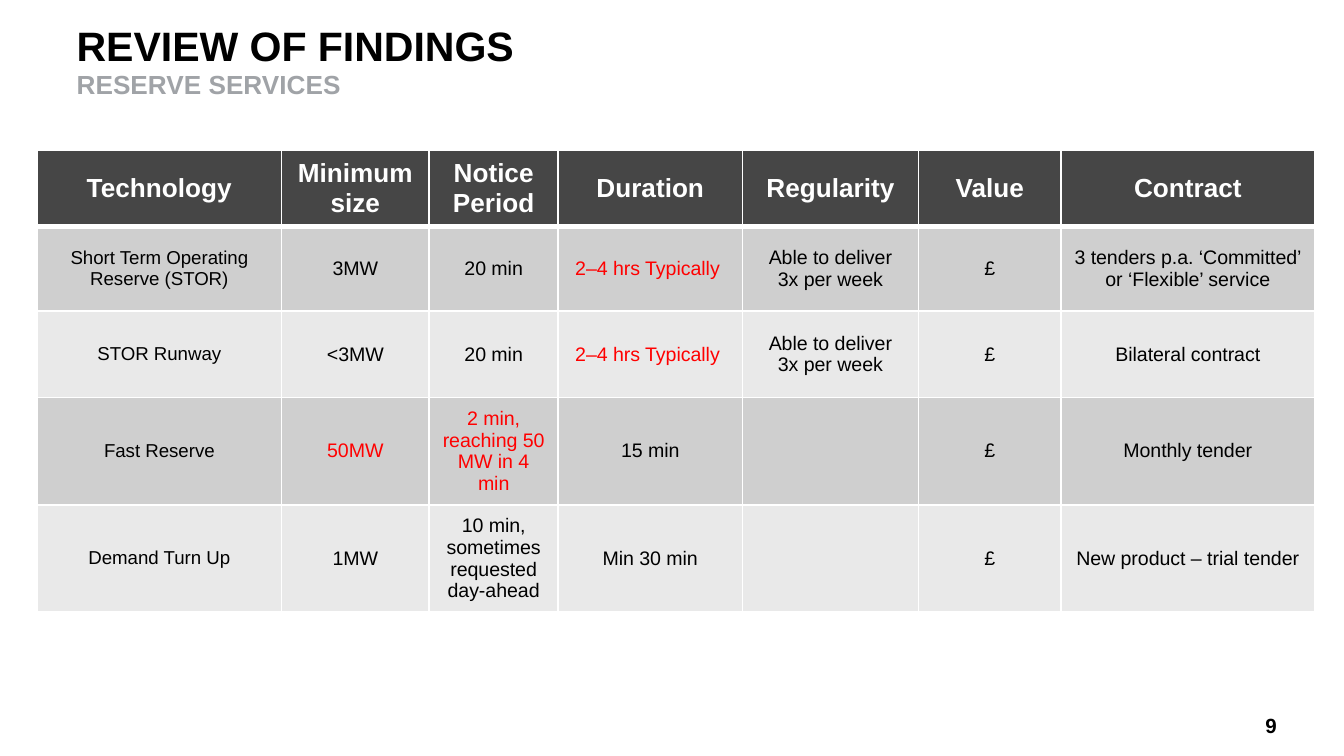
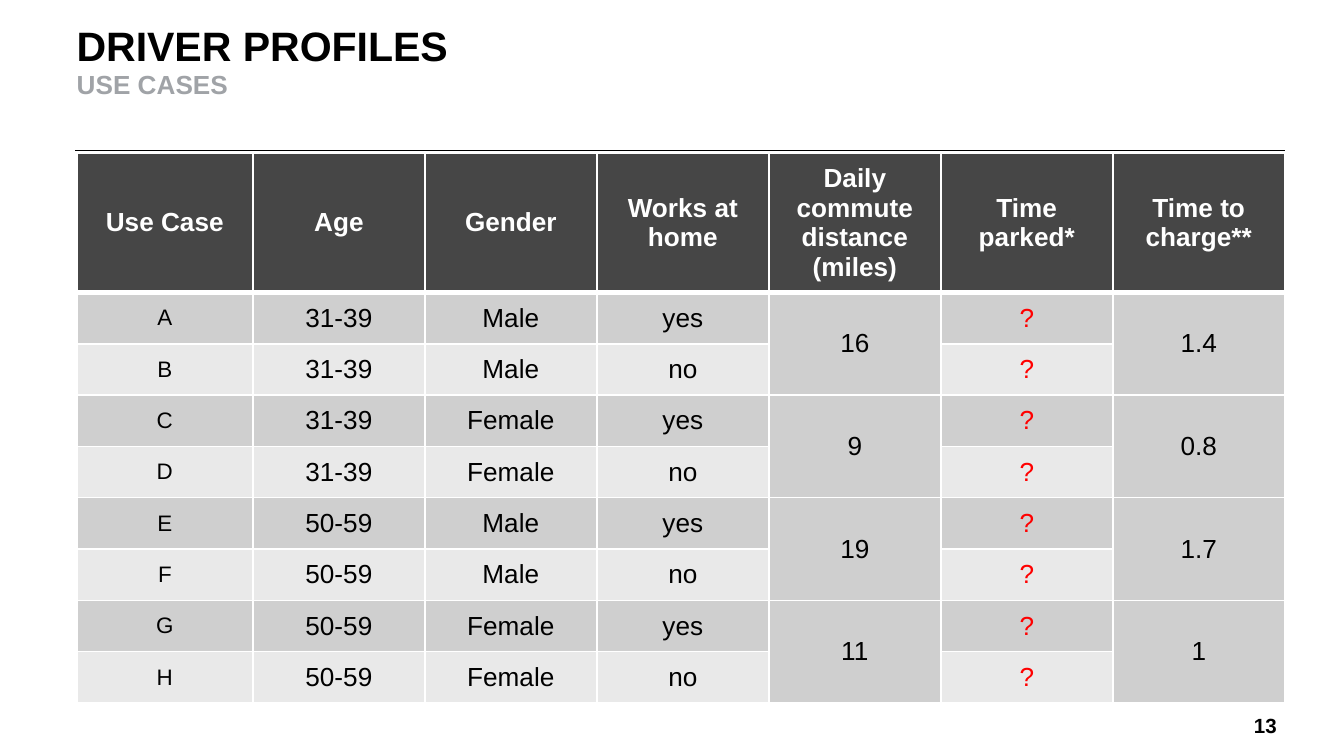
from dataclasses import dataclass

from lxml import etree
from pptx import Presentation
from pptx import util as u
from pptx.dml import color as dml
from pptx.enum import shapes, text
from pptx.oxml import ns

FONT = "Arial"
BLACK = "000000"
WHITE = "FFFFFF"
SUBTITLE_GREY = "A0A3A7"
HEADER_FILL = "464646"
BAND_FILLS = ("CFCFCF", "E9E9E9")
RED = "FF0000"


@dataclass(frozen=True)
class TableSpec:
    left: float
    top: float
    column_widths: list[float]
    row_heights: list[float]
    rows: list[list[str | None]]
    first_column_size: float
    body_size: float
    red_texts: set[str]


@dataclass(frozen=True)
class SlideSpec:
    title: str
    subtitle: str
    number: int
    table: TableSpec


TYPICAL_DURATION = "2–4 hrs Typically "
FAST_NOTICE = "2 min, reaching 50 MW in 4 min"
WEEKLY = "Able to deliver 3x per week"

RESERVE_SERVICES = TableSpec(
    left=0.7,
    top=2.84,
    column_widths=[4.62, 2.79, 2.44, 3.48, 3.33, 2.69, 4.8],
    row_heights=[1.07, 1.6, 1.63, 1.73, 1.55],
    rows=[
        ["Technology", "Minimum size", "Notice Period", "Duration", "Regularity", "Value", "Contract"],
        ["Short Term Operating Reserve (STOR)", "3MW", "20 min", TYPICAL_DURATION, WEEKLY, "£",
         "3 tenders p.a. ‘Committed’ or ‘Flexible’ service"],
        ["STOR Runway", "<3MW", "20 min", TYPICAL_DURATION, WEEKLY, "£", "Bilateral contract"],
        ["Fast Reserve", "50MW", FAST_NOTICE, "15 min", "", "£", "Monthly tender"],
        ["Demand Turn Up", "1MW", "10 min, sometimes requested day-ahead", "Min 30 min", "", "£",
         "New product – trial tender"],
    ],
    first_column_size=10,
    body_size=10.5,
    red_texts={TYPICAL_DURATION, "50MW", FAST_NOTICE},
)

USE_CASES = TableSpec(
    left=1.45,
    top=2.9,
    column_widths=[3.33] + [3.25] * 6,
    row_heights=[2.59] + [0.97] * 8,
    rows=[
        ["Use Case", "Age", "Gender", "Works at home", "Daily commute distance (miles)",
         "Time parked*", "Time to charge**"],
        ["A", "31-39", "Male", "yes", "16", "?", "1.4"],
        ["B", "31-39", "Male", "no", None, "?", None],
        ["C", "31-39", "Female", "yes", "9", "?", "0.8"],
        ["D", "31-39", "Female", "no", None, "?", None],
        ["E", "50-59", "Male", "yes", "19", "?", "1.7"],
        ["F", "50-59", "Male", "no", None, "?", None],
        ["G", "50-59", "Female", "yes", "11", "?", "1"],
        ["H", "50-59", "Female", "no", None, "?", None],
    ],
    first_column_size=12,
    body_size=14,
    red_texts={"?"},
)

SLIDES = [
    SlideSpec("REVIEW OF FINDINGS", "RESERVE SERVICES", 9, RESERVE_SERVICES),
    SlideSpec("DRIVER PROFILES", "USE CASES", 13, USE_CASES),
]


def rgb(value: str) -> dml.RGBColor:
    return dml.RGBColor.from_string(value)


def add_text(paragraph, content: str, *, size: float, color: str = BLACK, bold: bool = False) -> None:
    run = paragraph.add_run()
    run.text = content
    run.font.name = FONT
    run.font.size = u.Pt(size)
    run.font.bold = bold
    run.font.color.rgb = rgb(color)


def add_text_frame(slide, left: float, top: float, width: float, height: float):
    box = slide.shapes.add_textbox(u.Cm(left), u.Cm(top), u.Cm(width), u.Cm(height))
    frame = box.text_frame
    frame.word_wrap = True
    frame.margin_left = frame.margin_right = frame.margin_top = frame.margin_bottom = 0
    return frame


def add_title(slide, title: str, subtitle: str) -> None:
    paragraph = add_text_frame(slide, 1.45, 0.46, 15.7, 2).paragraphs[0]
    paragraph.line_spacing = 0.95
    add_text(paragraph, title, size=22, bold=True)
    paragraph.add_line_break()
    add_text(paragraph, subtitle, size=14, color=SUBTITLE_GREY, bold=True)


def add_page_number(slide, number: int) -> None:
    frame = add_text_frame(slide, 22.73, 13.49, 1.4, 0.43)
    frame.vertical_anchor = text.MSO_ANCHOR.MIDDLE
    paragraph = frame.paragraphs[0]
    paragraph.alignment = text.PP_ALIGN.RIGHT
    add_text(paragraph, str(number), size=11, bold=True)


def add_title_rule(slide) -> None:
    rule = slide.shapes.add_connector(
        shapes.MSO_CONNECTOR.STRAIGHT, u.Cm(24.28), u.Cm(2.84), u.Cm(1.42), u.Cm(2.84))
    rule.line.color.rgb = rgb(BLACK)
    rule.line.width = u.Pt(0.5)
    etree.SubElement(rule._element.spPr, ns.qn("a:effectLst"))


def set_borders(cell, *, top: float, bottom: float) -> None:
    properties = cell._tc.get_or_add_tcPr()
    widths = {"a:lnL": 1, "a:lnR": 1, "a:lnT": top, "a:lnB": bottom}
    for position, (tag, width) in enumerate(widths.items()):
        border = etree.Element(ns.qn(tag), w=str(u.Pt(width)))
        fill = etree.SubElement(border, ns.qn("a:solidFill"))
        etree.SubElement(fill, ns.qn("a:srgbClr"), val=WHITE)
        properties.insert(position, border)


def format_cell(cell, content: str | None, row: int, column: int, spec: TableSpec) -> None:
    is_header = row == 0
    cell.fill.solid()
    cell.fill.fore_color.rgb = rgb(HEADER_FILL if is_header else BAND_FILLS[(row - 1) % 2])
    cell.vertical_anchor = text.MSO_ANCHOR.MIDDLE
    set_borders(cell, top=3 if row == 1 else 1, bottom=3 if is_header else 1)
    if not content:
        return
    paragraph = cell.text_frame.paragraphs[0]
    paragraph.alignment = text.PP_ALIGN.CENTER
    if is_header:
        add_text(paragraph, content, size=14, color=WHITE, bold=True)
    else:
        size = spec.first_column_size if column == 0 else spec.body_size
        add_text(paragraph, content, size=size, color=RED if content in spec.red_texts else BLACK)


def add_table(slide, spec: TableSpec) -> None:
    frame = slide.shapes.add_table(
        len(spec.rows), len(spec.column_widths), u.Cm(spec.left), u.Cm(spec.top),
        u.Cm(sum(spec.column_widths)), u.Cm(sum(spec.row_heights)))
    table = frame.table
    table.horz_banding = False
    for column, width in zip(table.columns, spec.column_widths):
        column.width = u.Cm(width)
    for row, height in zip(table.rows, spec.row_heights):
        row.height = u.Cm(height)
    for row_index, contents in enumerate(spec.rows):
        for column_index, content in enumerate(contents):
            cell = table.cell(row_index, column_index)
            format_cell(cell, content, row_index, column_index, spec)
            if content is None:
                table.cell(row_index - 1, column_index).merge(cell)


def build_slide(presentation, spec: SlideSpec) -> None:
    slide = presentation.slides.add_slide(presentation.slide_layouts[6])
    add_page_number(slide, spec.number)
    add_title_rule(slide)
    add_title(slide, spec.title, spec.subtitle)
    add_table(slide, spec.table)


def main() -> None:
    presentation = Presentation()
    presentation.slide_width = u.Cm(25.4)
    presentation.slide_height = u.Cm(14.29)
    for spec in SLIDES:
        build_slide(presentation, spec)
    presentation.save("out.pptx")


if __name__ == "__main__":
    main()
